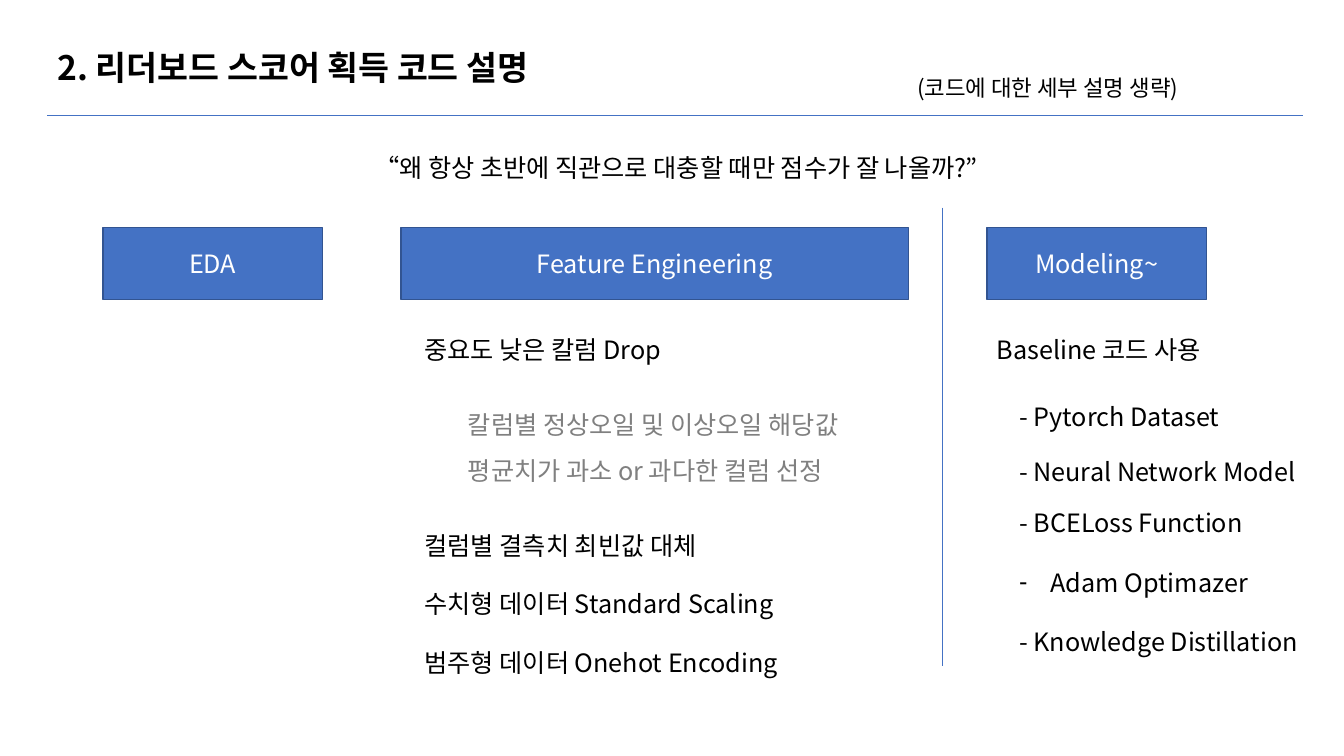
from dataclasses import dataclass

from pptx import Presentation, util as u
from pptx.dml.color import RGBColor
from pptx.enum import shapes, text
from pptx.oxml.xmlchemy import OxmlElement


@dataclass(frozen=True)
class Theme:
    font: str = "Noto Sans CJK KR"
    ink: str = "000000"
    muted: str = "808080"
    accent: str = "4472C4"
    border: str = "325491"
    light: str = "FFFFFF"
    title: int = 24
    body: int = 18
    aside: int = 16


@dataclass(frozen=True)
class Box:
    """Left, top, width and height in percent of the slide."""
    left: float
    top: float
    width: float
    height: float


@dataclass(frozen=True)
class Item:
    """A list line: gap above in points, indents in percent of the slide width."""
    words: str
    gap: float = 0
    indent: float = 0
    hanging: float = 0
    color: str = Theme.ink


@dataclass(frozen=True)
class Stage:
    name: str
    left: float
    width: float


@dataclass(frozen=True)
class Rule:
    x1: float
    y1: float
    x2: float
    y2: float


THEME = Theme()
WIDTH, HEIGHT = u.Inches(13.333), u.Inches(7.5)
HEADER_TOP, HEADER_HEIGHT = 30.13, 9.47
LIST_TOP, LIST_HEIGHT = 43.6, 48
SUB = 1.65

STAGES = [
    Stage("EDA", 7.65, 16.35),
    Stage("Feature Engineering", 29.85, 37.73),
    Stage("Modeling~", 73.43, 16.35),
]
RULES = [Rule(3.53, 15.2, 96.98, 15.2), Rule(70.13, 27.47, 70.13, 88.13)]
FEATURES = [
    Item("중요도 낮은 칼럼 Drop"),
    Item("칼럼별 정상오일 및 이상오일 해당값", 32, 3.23, color=THEME.muted),
    Item("평균치가 과소 or 과다한 컬럼 선정", 11, 3.23, color=THEME.muted),
    Item("컬럼별 결측치 최빈값 대체", 32),
    Item("수치형 데이터 Standard Scaling", 20),
    Item("범주형 데이터 Onehot Encoding", 20),
]
MODELING = [
    Item("Baseline 코드 사용"),
    Item("- Pytorch Dataset", 26, SUB),
    Item("- Neural Network Model", 18, SUB),
    Item("- BCELoss Function", 14.5, SUB),
    Item("Adam Optimazer", 21, SUB, hanging=2.33),
    Item("- Knowledge Distillation", 21, SUB),
]


def across(percent: float) -> int:
    return int(WIDTH * percent / 100)


def down(percent: float) -> int:
    return int(HEIGHT * percent / 100)


def place(sp, box: Box) -> None:
    sp.left, sp.top = across(box.left), down(box.top)
    sp.width, sp.height = across(box.width), down(box.height)


def write(p, words: str, *, size: int = THEME.body, color: str = THEME.ink,
          bold: bool = False, align=text.PP_ALIGN.LEFT) -> None:
    p.alignment = align
    r = p.add_run()
    r.text = words
    r.font.size, r.font.bold, r.font.name = u.Pt(size), bold, THEME.font
    r.font.color.rgb = RGBColor.from_string(color)
    ea = OxmlElement("a:ea")
    ea.set("typeface", THEME.font)
    r.font._element.append(ea)


def prepare(sp, anchor=text.MSO_ANCHOR.TOP):
    tf = sp.text_frame
    tf.word_wrap, tf.auto_size = True, text.MSO_AUTO_SIZE.NONE
    tf.vertical_anchor = anchor
    return tf


def add_text(s, box: Box, words: str, **style) -> None:
    sp = s.shapes.add_textbox(0, 0, 0, 0)
    place(sp, box)
    write(prepare(sp).paragraphs[0], words, **style)


def add_header(s, stage: Stage) -> None:
    sp = s.shapes.add_shape(shapes.MSO_SHAPE.RECTANGLE, 0, 0, 0, 0)
    place(sp, Box(stage.left, HEADER_TOP, stage.width, HEADER_HEIGHT))
    sp.shadow.inherit = False
    sp.fill.solid()
    sp.fill.fore_color.rgb = RGBColor.from_string(THEME.accent)
    sp.line.color.rgb = RGBColor.from_string(THEME.border)
    sp.line.width = u.Pt(1)
    tf = prepare(sp, text.MSO_ANCHOR.MIDDLE)
    write(tf.paragraphs[0], stage.name, color=THEME.light, align=text.PP_ALIGN.CENTER)


def add_rule(s, rule: Rule) -> None:
    line = s.shapes.add_connector(shapes.MSO_CONNECTOR.STRAIGHT, across(rule.x1),
                                  down(rule.y1), across(rule.x2), down(rule.y2))
    line.line.color.rgb = RGBColor.from_string(THEME.accent)
    line.line.width = u.Pt(0.5)
    line._element.spPr.append(OxmlElement("a:effectLst"))


def fill_list(sp, left: float, width: float, items: list[Item]) -> None:
    place(sp, Box(left, LIST_TOP, width, LIST_HEIGHT))
    tf = prepare(sp)
    for i, item in enumerate(items):
        p = tf.add_paragraph() if i else tf.paragraphs[0]
        p.space_before, p.space_after = u.Pt(item.gap), u.Pt(0)
        pPr = p._p.get_or_add_pPr()
        pPr.set("marL", str(across(item.indent + item.hanging)))
        pPr.set("indent", str(-across(item.hanging)))
        bullet = OxmlElement("a:buChar" if item.hanging else "a:buNone")
        if item.hanging:
            bullet.set("char", "-")
        pPr.append(bullet)
        write(p, item.words, color=item.color)


def main() -> None:
    prs = Presentation()
    prs.slide_width, prs.slide_height = WIDTH, HEIGHT
    s = prs.slides.add_slide(prs.slide_layouts.get_by_name("Two Content"))
    title, features, modeling = s.placeholders

    place(title, Box(3.53, 5.6, 50.4, 6.67))
    write(prepare(title).paragraphs[0], "2. 리더보드 스코어 획득 코드 설명",
          size=THEME.title, bold=True)
    add_text(s, Box(67.5, 9.2, 24.75, 4.93), "(코드에 대한 세부 설명 생략)", size=THEME.aside)
    add_text(s, Box(24.3, 19.47, 51.98, 5.33),
             "“왜 항상 초반에 직관으로 대충할 때만 점수가 잘 나올까?”",
             align=text.PP_ALIGN.CENTER)
    for rule in RULES:
        add_rule(s, rule)
    for stage in STAGES:
        add_header(s, stage)
    fill_list(features, 30.83, 38, FEATURES)
    fill_list(modeling, 73.43, 24.4, MODELING)
    prs.save("out.pptx")


if __name__ == "__main__":
    main()
